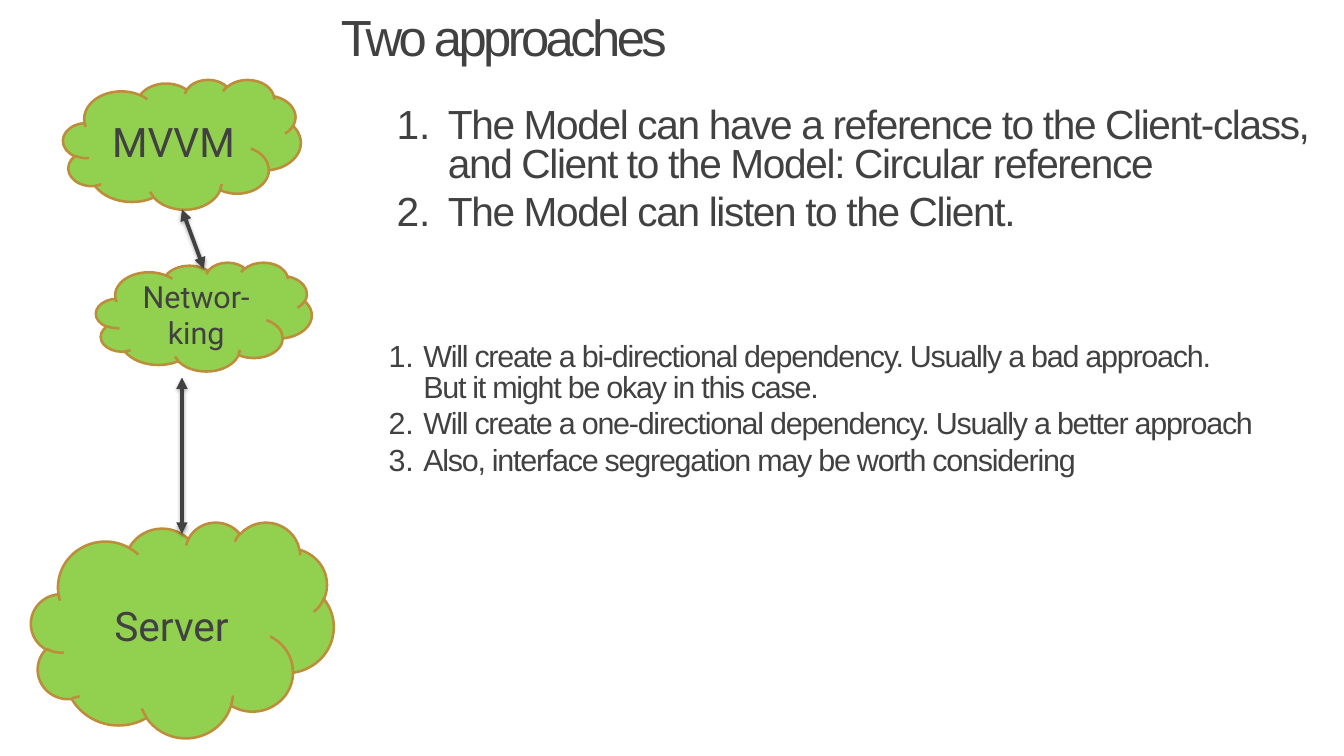
from dataclasses import dataclass

from lxml.etree import SubElement
from pptx import Presentation
from pptx.dml.color import RGBColor
from pptx.enum.shapes import MSO_CONNECTOR, MSO_SHAPE
from pptx.enum.text import MSO_ANCHOR, MSO_AUTO_SIZE, PP_ALIGN
from pptx.oxml import parse_xml
from pptx.oxml.ns import nsdecls, qn
from pptx.util import Inches, Pt


@dataclass(frozen=True)
class Theme:
    ink: RGBColor = RGBColor.from_string("414141")
    cloud: RGBColor = RGBColor.from_string("92D050")
    outline: RGBColor = RGBColor.from_string("BD8D3B")
    text_font: str = "Arial"
    cloud_font: str = "Roboto"
    title: int = 40
    large: int = 32
    small: int = 24


THEME = Theme()

ARROW_SHADOW = (
    f'<a:effectLst {nsdecls("a")}>'
    '<a:outerShdw blurRad="39370" dist="22860" dir="5400000" rotWithShape="0">'
    '<a:srgbClr val="000000"><a:alpha val="35000"/></a:srgbClr>'
    '</a:outerShdw></a:effectLst>'
)


def write(paragraph, text, *, font, size, align=PP_ALIGN.LEFT, tracking=0,
          line_spacing=None, space_before=None, number_indent=None):
    """Fill a paragraph; number_indent, in inches, makes it a numbered item."""
    paragraph.text = text
    paragraph.alignment = align
    if number_indent:
        properties = paragraph._p.get_or_add_pPr()
        properties.set("marL", str(Inches(number_indent)))
        properties.set("indent", str(-Inches(number_indent)))
        SubElement(properties, qn("a:buFont"), typeface=font)
        SubElement(properties, qn("a:buAutoNum"), type="arabicPeriod")
    if line_spacing:
        paragraph.line_spacing = line_spacing
    if space_before:
        paragraph.space_before = Pt(space_before)
    for run in paragraph.runs:
        run.font.name = font
        run.font.size = Pt(size)
        run.font.color.rgb = THEME.ink
        if tracking:
            run.font._element.set("spc", str(round(tracking * 100)))


class SlideBuilder:
    def __init__(self, slide, theme):
        self.slide = slide
        self.theme = theme

    def cloud(self, text, left, top, width, height, size):
        cloud = self.slide.shapes.add_shape(
            MSO_SHAPE.CLOUD, *map(Inches, (left, top, width, height)))
        cloud.shadow.inherit = False
        cloud.fill.solid()
        cloud.fill.fore_color.rgb = self.theme.cloud
        cloud.line.color.rgb = self.theme.outline
        cloud.line.width = Pt(2)
        cloud.text_frame.vertical_anchor = MSO_ANCHOR.MIDDLE
        write(cloud.text_frame.paragraphs[0], text, font=self.theme.cloud_font,
              size=size, align=PP_ALIGN.CENTER)

    def double_arrow(self, start, end):
        arrow = self.slide.shapes.add_connector(
            MSO_CONNECTOR.STRAIGHT, *map(Inches, (*start, *end)))
        arrow.line.color.rgb = self.theme.ink
        arrow.line.width = Pt(3)
        line = arrow.line._get_or_add_ln()
        for end_name in ("a:headEnd", "a:tailEnd"):
            SubElement(line, qn(end_name), type="triangle")
        arrow._element.spPr.append(parse_xml(ARROW_SHADOW))

    def text_box(self, left, top, width, height, insets=(0.1, 0.05, 0.1, 0.05), wrap=True):
        box = self.slide.shapes.add_textbox(*map(Inches, (left, top, width, height)))
        frame = box.text_frame
        frame.word_wrap = wrap
        frame.auto_size = MSO_AUTO_SIZE.NONE if wrap else MSO_AUTO_SIZE.SHAPE_TO_FIT_TEXT
        (frame.margin_left, frame.margin_top,
         frame.margin_right, frame.margin_bottom) = map(Inches, insets)
        return frame

    def title(self, text):
        frame = self.text_box(3.73, 0.11, 10.6, 1.02, insets=(0, 0.12, 0, 0))
        write(frame.paragraphs[0], text, font=self.theme.text_font,
              size=self.theme.title, tracking=-2.8, line_spacing=0.73)

    def numbered_list(self, frame, items, size, **style):
        for index, item in enumerate(items):
            paragraph = frame.add_paragraph() if index else frame.paragraphs[0]
            write(paragraph, item, font=self.theme.text_font, size=size,
                  space_before=0.2 * size if index else None, **style)


def main():
    deck = Presentation()
    deck.slide_width, deck.slide_height = Inches(14.7), Inches(8.27)
    builder = SlideBuilder(deck.slides.add_slide(deck.slide_layouts[6]), THEME)

    # System parts
    builder.cloud("MVVM", 0.69, 0.87, 2.6, 1.42, THEME.large)
    builder.cloud("Networ-king", 1.05, 2.87, 2.36, 1.19, THEME.small)
    builder.cloud("Server", 0.34, 5.71, 3.31, 2.36, THEME.large)

    # Communication between the parts
    builder.double_arrow((1.99, 4.13), (1.99, 5.84))
    builder.double_arrow((1.99, 2.29), (2.23, 2.94))

    builder.title("Two approaches")

    # The two approaches
    approaches = builder.text_box(4.24, 1.14, 10.2, 1.73)
    builder.numbered_list(approaches, [
        "The Model can have a reference to the Client-class, "
        "and Client to the Model: Circular reference",
        "The Model can listen to the Client.",
    ], THEME.large, number_indent=0.56, line_spacing=0.8, tracking=-1.1)

    # What each approach leads to
    consequences = builder.text_box(4.25, 3.76, 9.53, 1.5, insets=(0, 0, 0, 0), wrap=False)
    builder.numbered_list(consequences, [
        "Will create a bi-directional dependency. Usually a bad approach.\v"
        "But it might be okay in this case.",
        "Will create a one-directional dependency. Usually a better approach",
        "Also, interface segregation may be worth considering",
    ], THEME.small, number_indent=0.38, line_spacing=0.83, tracking=-1)

    deck.save("out.pptx")


if __name__ == "__main__":
    main()
